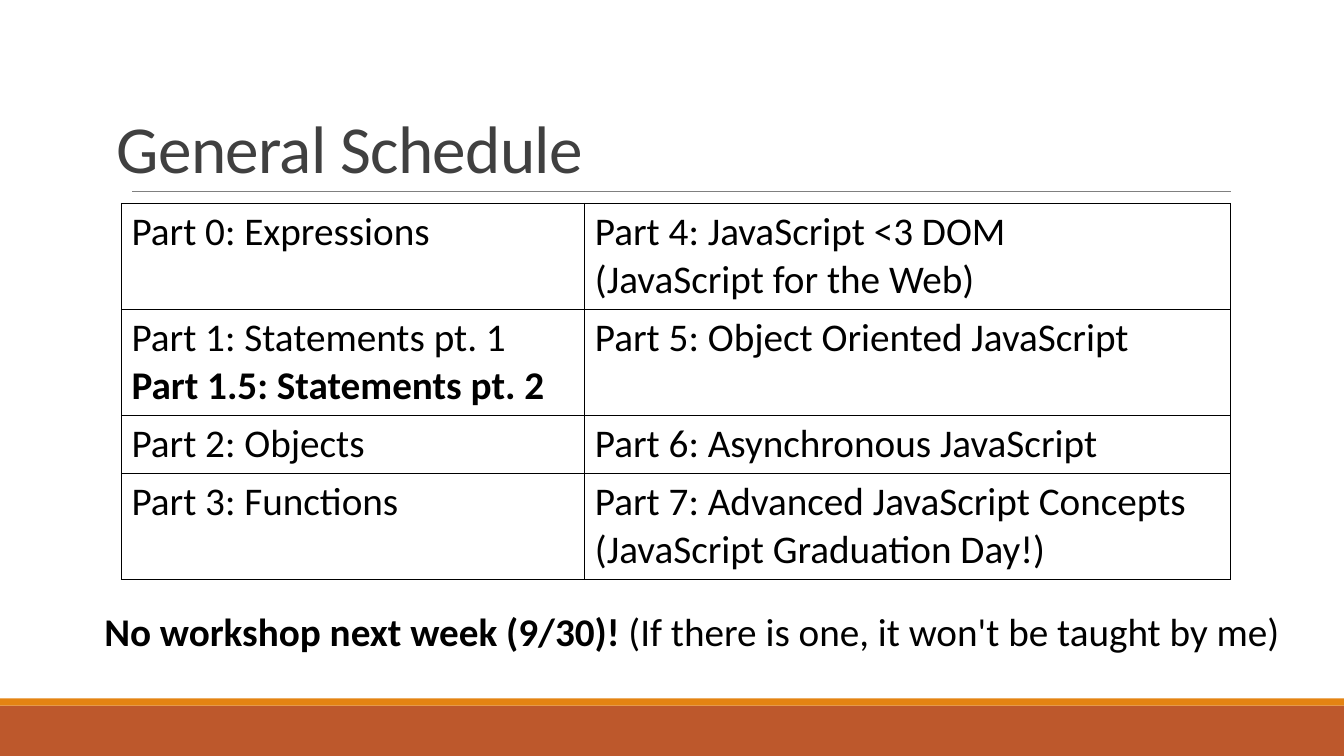
import pptx
import pptx.dml.color
import pptx.enum.shapes
import pptx.enum.text
import pptx.oxml
import pptx.oxml.ns
import pptx.util
from pptx.util import Cm

COLORS = {"rust": "BD582C", "orange": "E48312", "rule": "808080",
          "title": "404040", "text": "000000"}
BODY = {"name": "Calibri", "size": pptx.util.Pt(28)}


def rgb(name):
    return pptx.dml.color.RGBColor.from_string(COLORS[name])


def add_run(p, text, color="text", **extra):
    r = p.add_run()
    r.text = text
    for key, value in {**BODY, **extra}.items():
        setattr(r.font, key, value)
    r.font.color.rgb = rgb(color)
    return r


prs = pptx.Presentation()
prs.slide_width, prs.slide_height = Cm(33.87), Cm(19.05)
s = prs.slides.add_slide(prs.slide_layouts[5])

# Footer bands
for color, top, height in (("rust", 17.78, 1.27), ("orange", 17.6, 0.18)):
    sp = s.shapes.add_shape(pptx.enum.shapes.MSO_SHAPE.RECTANGLE,
                            0, Cm(top), prs.slide_width, Cm(height))
    sp.shadow.inherit = False
    sp.fill.solid()
    sp.fill.fore_color.rgb = rgb(color)
    sp.line.fill.background()

# Rule under the title
line = s.shapes.add_connector(pptx.enum.shapes.MSO_CONNECTOR.STRAIGHT,
                              Cm(3.33), Cm(4.82), Cm(31.01), Cm(4.82))
line.line.color.rgb = rgb("rule")
line.line.width = pptx.util.Pt(0.5)
line._element.spPr.append(pptx.oxml.parse_xml(
    f'<a:effectLst {pptx.oxml.ns.nsdecls("a")}/>'))

# Title
title = s.shapes.title
title.left, title.top, title.width, title.height = Cm(2.69), Cm(0.81), Cm(27.94), Cm(4.04)
tf = title.text_frame
tf.auto_size = pptx.enum.text.MSO_AUTO_SIZE.NONE
tf.vertical_anchor = pptx.enum.text.MSO_ANCHOR.BOTTOM
p = tf.paragraphs[0]
p.alignment = pptx.enum.text.PP_ALIGN.LEFT
p.line_spacing = 0.85
r = add_run(p, "General Schedule", "title", size=pptx.util.Pt(48))
r._r.get_or_add_rPr().set("spc", "-50")

# Schedule table: each cell is a list of lines
schedule = [
    (["Part 0: Expressions"],
     ["Part 4: JavaScript <3 DOM", "(JavaScript for the Web)"]),
    (["Part 1: Statements pt. 1", "Part 1.5: Statements pt. 2"],
     ["Part 5: Object Oriented JavaScript"]),
    (["Part 2: Objects"], ["Part 6: Asynchronous JavaScript"]),
    (["Part 3: Functions"],
     ["Part 7: Advanced JavaScript Concepts", "(JavaScript Graduation Day!)"]),
]
row_heights = [1.46 if max(map(len, row)) == 1 else 2.67 for row in schedule]
table = s.shapes.add_table(len(schedule), 2, Cm(3.06), Cm(5.13),
                           Cm(27.94), Cm(sum(row_heights))).table
table.first_row = table.horz_banding = False
for column, width in zip(table.columns, (11.68, 16.26)):
    column.width = Cm(width)

for i, row in enumerate(schedule):
    table.rows[i].height = Cm(row_heights[i])
    for j, lines in enumerate(row):
        cell = table.cell(i, j)
        p = cell.text_frame.paragraphs[0]
        for k, text in enumerate(lines):
            if k:
                p.add_line_break()
            add_run(p, text, bold=text.startswith("Part 1.5"))
        tcPr = cell._tc.get_or_add_tcPr()
        for side in "LRTB":
            tcPr.append(pptx.oxml.parse_xml(
                f'<a:ln{side} {pptx.oxml.ns.nsdecls("a")} w="12700"><a:solidFill>'
                f'<a:srgbClr val="{COLORS["text"]}"/></a:solidFill></a:ln{side}>'))
        cell.fill.background()

# Notice below the table
tf = s.shapes.add_textbox(Cm(2.26), Cm(15.19), Cm(30.35), Cm(1.45)).text_frame
tf.word_wrap = True
tf.auto_size = pptx.enum.text.MSO_AUTO_SIZE.SHAPE_TO_FIT_TEXT
p = tf.paragraphs[0]
p.alignment = pptx.enum.text.PP_ALIGN.CENTER
add_run(p, "No workshop next week (9/30)! ", bold=True)
add_run(p, "(If there is one, it won't be taught by me)", bold=False)

prs.save("out.pptx")
